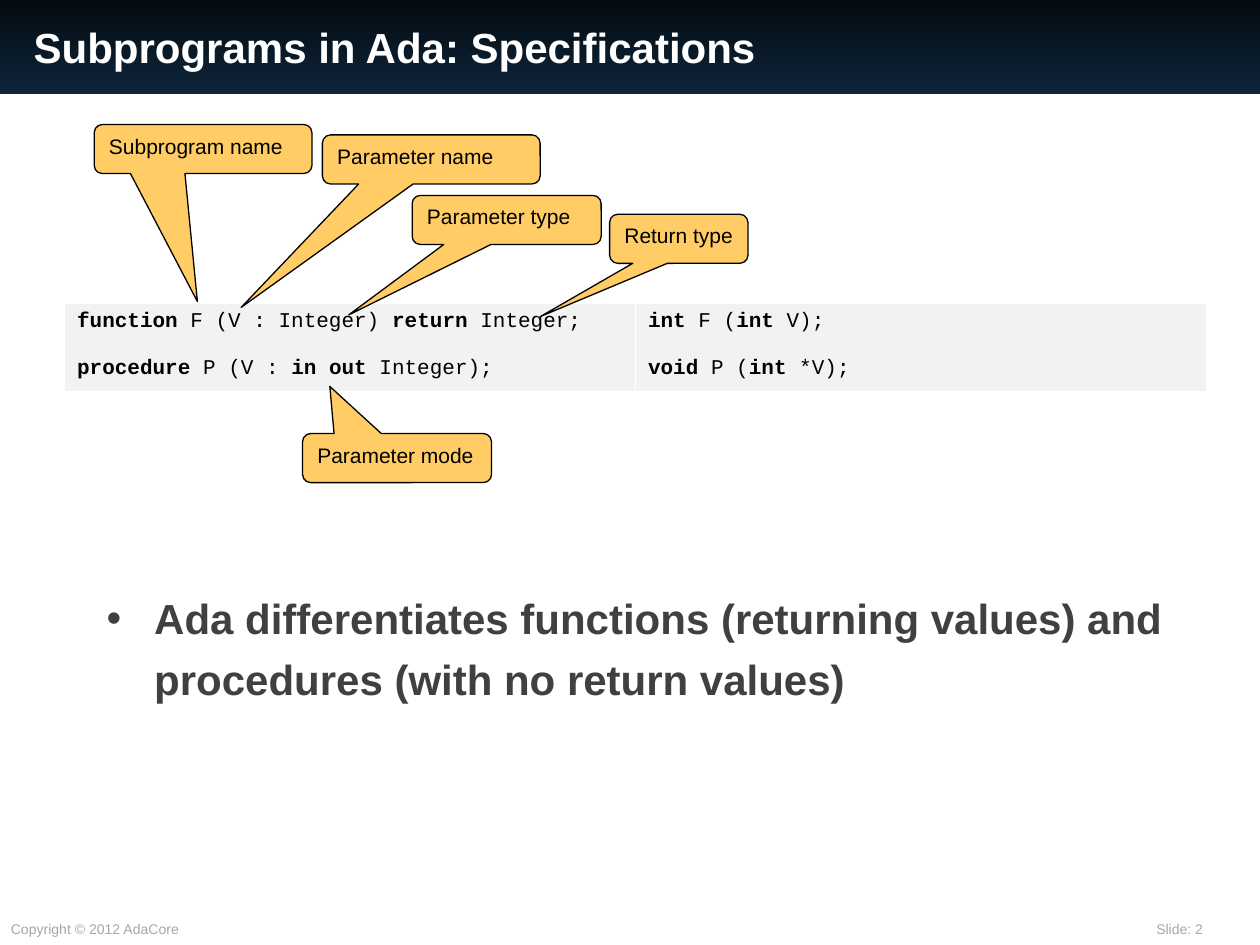
from lxml.etree import SubElement
from pptx import Presentation
from pptx.dml.color import RGBColor
from pptx.enum.shapes import MSO_SHAPE
from pptx.enum.text import MSO_ANCHOR
from pptx.oxml.ns import qn
from pptx.util import Cm, Pt

INK = {"text": "000000", "white": "FFFFFF", "body": "404040", "foot": "A6A6A6",
       "dark": "040B11", "navy": "0D253A", "cell": "F2F2F2", "note": "FFCC66"}

TITLE = "Subprograms in Ada: Specifications"
POINT = ("Ada differentiates functions (returning values) "
         "and procedures (with no return values)")
# text, left, width, wrap
FEET = [("Slide: 2", 23.06, 2.31, True),
        ("Copyright © 2012 AdaCore", -0.03, 3.99, False)]
# One list per column; bars enclose the bold keywords
CODE = [["|function| F (V : Integer) |return| Integer;",
         "|procedure| P (V : |in out| Integer);"],
        ["|int| F (|int| V);",
         "|void| P (|int| *V);"]]
# text, left, top, width, tip of the pointer
NOTES = [("Subprogram name", 1.9, 2.51, 4.39, (3.98, 6.08)),
         ("Parameter name", 6.5, 2.72, 4.39, (4.86, 6.2)),
         ("Parameter type", 8.31, 3.94, 3.81, (7.03, 6.35)),
         ("Return type", 12.29, 4.32, 2.79, (10.9, 6.38)),
         ("Parameter mode", 6.1, 8.74, 3.81, (6.65, 7.79))]
HIGH = 0.99


def color(name):
    return RGBColor.from_string(INK[name])


def style(item, size, ink, bold=False, face="Arial"):
    font = item.font
    font.name, font.size, font.bold = face, Pt(size), bold
    font.color.rgb = color(ink)


def add_text(slide, text, box, size, ink, bold=False, wrap=True):
    frame = slide.shapes.add_textbox(*map(Cm, box)).text_frame
    frame.word_wrap = wrap
    frame.text = text
    style(frame.paragraphs[0].runs[0], size, ink, bold)
    return frame


def add_band(slide):
    band = slide.shapes.add_shape(MSO_SHAPE.RECTANGLE, Cm(-0.03), 0, Cm(25.43), Cm(1.9))
    band.shadow.inherit = False
    band.line.fill.background()
    band.fill.gradient()
    band.fill.gradient_angle = 270
    for stop, name, place in zip(band.fill.gradient_stops, ("dark", "navy"), (0, 1)):
        stop.color.rgb = color(name)
        stop.position = place


def add_point(slide):
    frame = add_text(slide, POINT, (1.9, 11.62, 21.79, 3), 24, "body", True)
    para = frame.paragraphs[0]
    para.line_spacing = 1.2
    props = para._p.get_or_add_pPr()
    props.set("marL", str(Cm(0.96)))
    props.set("indent", str(Cm(-0.96)))
    tint = SubElement(props, qn("a:buClr"))
    SubElement(tint, qn("a:srgbClr"), val=INK["body"])
    SubElement(props, qn("a:buFont"), typeface="Arial")
    SubElement(props, qn("a:buChar"), char="•")


def edge(cell):
    props = cell._tc.get_or_add_tcPr()
    for side, width in zip("LRTB", (0.45, 0.45, 0.45, 1.47)):
        line = SubElement(props, qn(f"a:ln{side}"), w=str(Pt(width)))
        fill = SubElement(line, qn("a:solidFill"))
        SubElement(fill, qn("a:srgbClr"), val=INK["white"])


def add_code(slide):
    table = slide.shapes.add_table(1, len(CODE), Cm(1.3), Cm(6.12), Cm(23.02), Cm(1.78)).table
    table.first_row = table.horz_banding = False
    for cell, lines in zip(table.rows[0].cells, CODE):
        edge(cell)
        cell.fill.solid()
        cell.fill.fore_color.rgb = color("cell")
        frame = cell.text_frame
        for row, line in enumerate(lines):
            para = frame.add_paragraph() if row else frame.paragraphs[0]
            if row:
                para.space_before = Pt(13.6)
            for part, text in enumerate(line.split("|")):
                if text:
                    run = para.add_run()
                    run.text = text
                    style(run, 12, "text", part % 2 == 1, "Courier New")


def add_note(slide, text, left, top, width, tip):
    note = slide.shapes.add_shape(MSO_SHAPE.ROUNDED_RECTANGULAR_CALLOUT,
                                  Cm(left), Cm(top), Cm(width), Cm(HIGH))
    note.adjustments[0] = (tip[0] - left) / width - 0.5
    note.adjustments[1] = (tip[1] - top) / HIGH - 0.5
    note.shadow.inherit = False
    note.fill.solid()
    note.fill.fore_color.rgb = color("note")
    note.line.color.rgb = color("text")
    note.line.width = Pt(0.75)
    frame = note.text_frame
    frame.vertical_anchor = MSO_ANCHOR.TOP
    frame.text = text
    para = frame.paragraphs[0]
    para.alignment = 1
    style(para.runs[0], 12, "text")


def main():
    deck = Presentation()
    deck.slide_width, deck.slide_height = Cm(25.4), Cm(19.05)
    slide = deck.slides.add_slide(deck.slide_layouts[6])
    for text, left, width, wrap in FEET:
        add_text(slide, text, (left, 18.44, width, 0.61), 8, "foot", wrap=wrap)
    add_band(slide)
    title = add_text(slide, TITLE, (0.43, 0.2, 22.23, 1.47), 24, "white", True)
    title.vertical_anchor = MSO_ANCHOR.MIDDLE
    add_point(slide)
    add_code(slide)
    for note in NOTES:
        add_note(slide, *note)
    deck.save("out.pptx")


if __name__ == "__main__":
    main()
